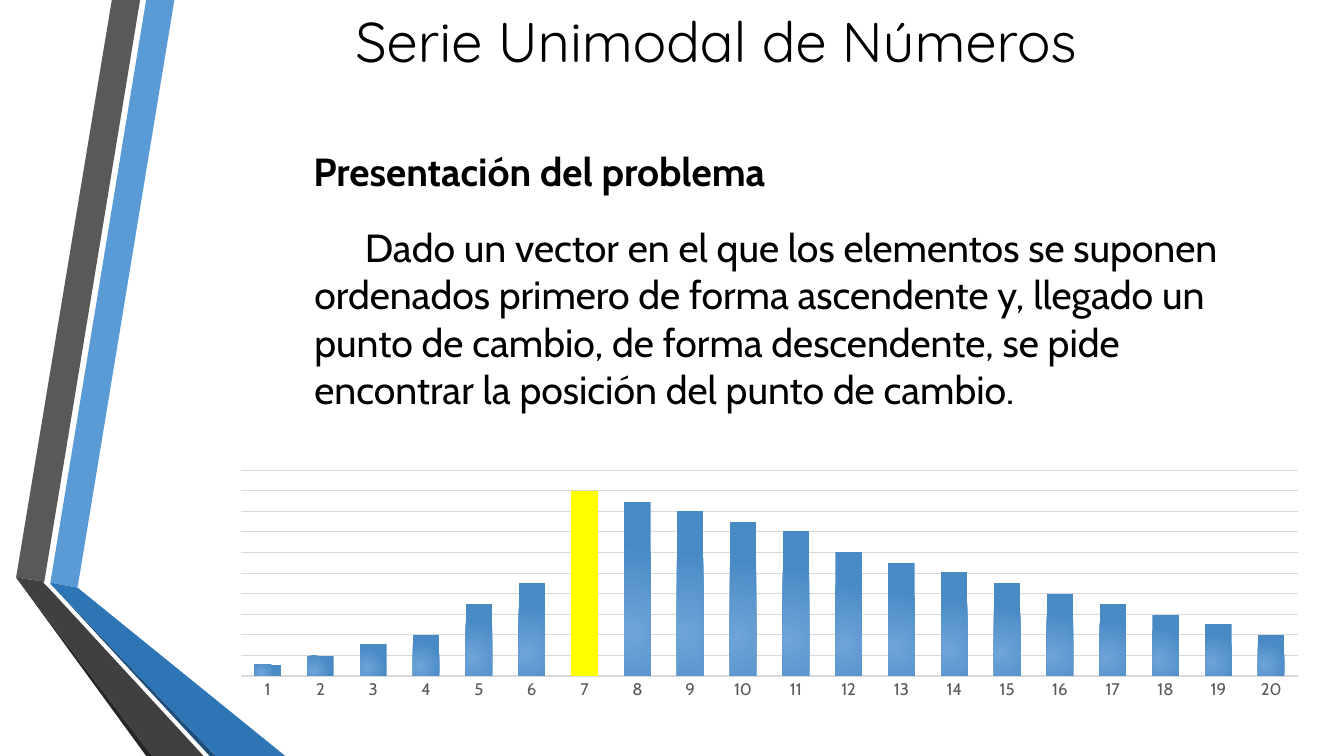
from lxml.etree import SubElement
from pptx import Presentation
from pptx.chart.data import CategoryChartData
from pptx.dml.color import RGBColor
from pptx.enum.chart import XL_CHART_TYPE, XL_TICK_LABEL_POSITION, XL_TICK_MARK
from pptx.enum.text import MSO_ANCHOR, PP_ALIGN
from pptx.oxml import parse_xml
from pptx.oxml.ns import nsdecls, qn
from pptx.util import Inches, Pt

COLORS = {
    "text": "000000",
    "light_blue": "5B9BD5",
    "blue": "2E75B6",
    "dark_blue": "1F4E79",
    "gray": "595959",
    "dark_gray": "404040",
    "black_gray": "262626",
    "grid": "D9D9D9",
    "bar_center": "6EA4D8",
    "bar_edge": "498AC5",
    "peak": "FFFF00",
}

# Ribbon outlines, in inches from the corner of the ribbon region
RIBBONS = [
    ("light_blue", [(0.5, 5.78), (0.77, 5.83), (1.73, 0), (1.45, 0)]),
    ("gray", [(1.39, 0), (1.11, 0), (0.16, 5.73), (0.44, 5.77)]),
    ("black_gray", [(0.16, 5.73), (1.45, 7.5), (1.51, 7.5)]),
    ("dark_blue", [(0.5, 5.79), (2.08, 7.5), (2.14, 7.5)]),
    ("blue", [(0.5, 5.79), (2.14, 7.5), (2.83, 7.5), (0.77, 5.83), (0.5, 5.78)]),
    ("dark_gray", [(2.02, 7.5), (0.48, 5.83), (0.43, 5.78), (0.44, 5.77),
                   (0.16, 5.73), (1.51, 7.5)]),
]

SERIES = [6, 11, 17, 22, 39, 50, 100, 94, 89, 83,
          78, 67, 61, 56, 50, 44, 39, 33, 28, 22]
GRID_STEP = 11.11
GRID_COUNT = 10
PLOT_LAYOUT = {"x": 0.035, "y": 0.171, "w": 0.956, "h": 0.597}


def rgb(name):
    return RGBColor.from_string(COLORS[name])


def draw_ribbons(slide, left, top):
    for color, outline in RIBBONS:
        points = [(Inches(left + x), Inches(top + y)) for x, y in outline]
        builder = slide.shapes.build_freeform(*points[0])
        builder.add_line_segments(points[1:], close=True)
        ribbon = builder.convert_to_shape()
        ribbon.shadow.inherit = False
        ribbon.fill.solid()
        ribbon.fill.fore_color.rgb = rgb(color)
        ribbon.line.fill.background()


def add_text(slide, box, text, size, font, bold=False, indent=0,
             align=PP_ALIGN.LEFT, anchor=MSO_ANCHOR.TOP):
    frame = slide.shapes.add_textbox(*map(Inches, box)).text_frame
    frame.word_wrap = True
    frame.vertical_anchor = anchor
    paragraph = frame.paragraphs[0]
    paragraph.alignment = align
    if indent:
        properties = paragraph._p.get_or_add_pPr()
        properties.set("marL", "0")
        properties.set("indent", str(Inches(indent)))
    run = paragraph.add_run()
    run.text = text
    run.font.size = Pt(size)
    run.font.name = font
    run.font.bold = bold
    run.font.color.rgb = rgb("text")


def fix_plot_layout(chart):
    plot_area = chart._chartSpace.chart.plotArea
    for old_layout in plot_area.findall(qn("c:layout")):
        plot_area.remove(old_layout)
    layout = parse_xml(f"<c:layout {nsdecls('c')}/>")
    manual = SubElement(layout, qn("c:manualLayout"))
    SubElement(manual, qn("c:layoutTarget")).set("val", "inner")
    for side in "xy":
        SubElement(manual, qn(f"c:{side}Mode")).set("val", "edge")
    for key, value in PLOT_LAYOUT.items():
        SubElement(manual, qn(f"c:{key}")).set("val", str(value))
    plot_area.insert(0, layout)


def fill_bars(bars):
    bars.format.fill.solid()
    properties = bars._element.spPr
    solid = properties.find(qn("a:solidFill"))
    gradient = parse_xml(
        f"<a:gradFill {nsdecls('a')}><a:gsLst>"
        f'<a:gs pos="0"><a:srgbClr val="{COLORS["bar_center"]}"/></a:gs>'
        f'<a:gs pos="100000"><a:srgbClr val="{COLORS["bar_edge"]}"/></a:gs>'
        '</a:gsLst><a:path path="circle">'
        '<a:fillToRect l="50000" t="100000" r="100000" b="50000"/>'
        "</a:path></a:gradFill>")
    properties.replace(solid, gradient)
    # Turning point of the series
    peak = bars.points[SERIES.index(max(SERIES))].format.fill
    peak.solid()
    peak.fore_color.rgb = rgb("peak")


def draw_unimodal_chart(slide, box):
    data = CategoryChartData()
    data.categories = [str(n) for n in range(1, len(SERIES) + 1)]
    data.add_series("Series 1", SERIES)
    chart = slide.shapes.add_chart(
        XL_CHART_TYPE.COLUMN_CLUSTERED, *map(Inches, box), data).chart
    chart.has_title = False
    chart.has_legend = False
    chart.font.name = "Cabin"
    chart.font.size = Pt(10)
    chart.font.color.rgb = rgb("text")
    fix_plot_layout(chart)

    # Columns
    plot = chart.plots[0]
    plot.vary_by_categories = False
    plot.gap_width = 100
    plot.overlap = -24
    fill_bars(plot.series[0])

    # Axes
    positions = chart.category_axis
    positions.major_tick_mark = XL_TICK_MARK.NONE
    positions.minor_tick_mark = XL_TICK_MARK.NONE
    positions.tick_label_position = XL_TICK_LABEL_POSITION.NEXT_TO_AXIS
    positions.tick_labels.font.name = "Cabin"
    positions.tick_labels.font.size = Pt(12)
    positions.tick_labels.font.color.rgb = rgb("gray")
    positions.format.line.color.rgb = rgb("grid")
    positions.format.line.width = Pt(1)

    heights = chart.value_axis
    heights.visible = False
    heights.minimum_scale = 0
    heights.maximum_scale = round(GRID_STEP * GRID_COUNT, 2)
    heights.major_unit = GRID_STEP
    heights.has_major_gridlines = True
    grid = heights.major_gridlines.format.line
    grid.color.rgb = rgb("grid")
    grid.width = Pt(0.75)


def main():
    deck = Presentation()
    deck.slide_width = Inches(13.33)
    deck.slide_height = Inches(7.5)
    slide = deck.slides.add_slide(deck.slide_layouts[6])

    draw_ribbons(slide, 0, 0)
    add_text(slide, (2.01, -0.03, 10.18, 0.85), "Serie Unimodal de Números",
             40, "Quicksand", align=PP_ALIGN.CENTER, anchor=MSO_ANCHOR.MIDDLE)
    draw_unimodal_chart(slide, (2.01, 4.08, 10.96, 3.42))
    add_text(slide, (3.02, 2.17, 9.18, 1.99),
             "Dado un vector en el que los elementos se suponen ordenados "
             "primero de forma ascendente y, llegado un punto de cambio, de "
             "forma descendente, se pide encontrar la posición del punto de "
             "cambio.", 28, "Cabin", indent=0.5)
    add_text(slide, (2.51, 1.41, 9.18, 0.57), "Presentación del problema",
             28, "Cabin", bold=True, indent=0.5)
    deck.save("out.pptx")


if __name__ == "__main__":
    main()
